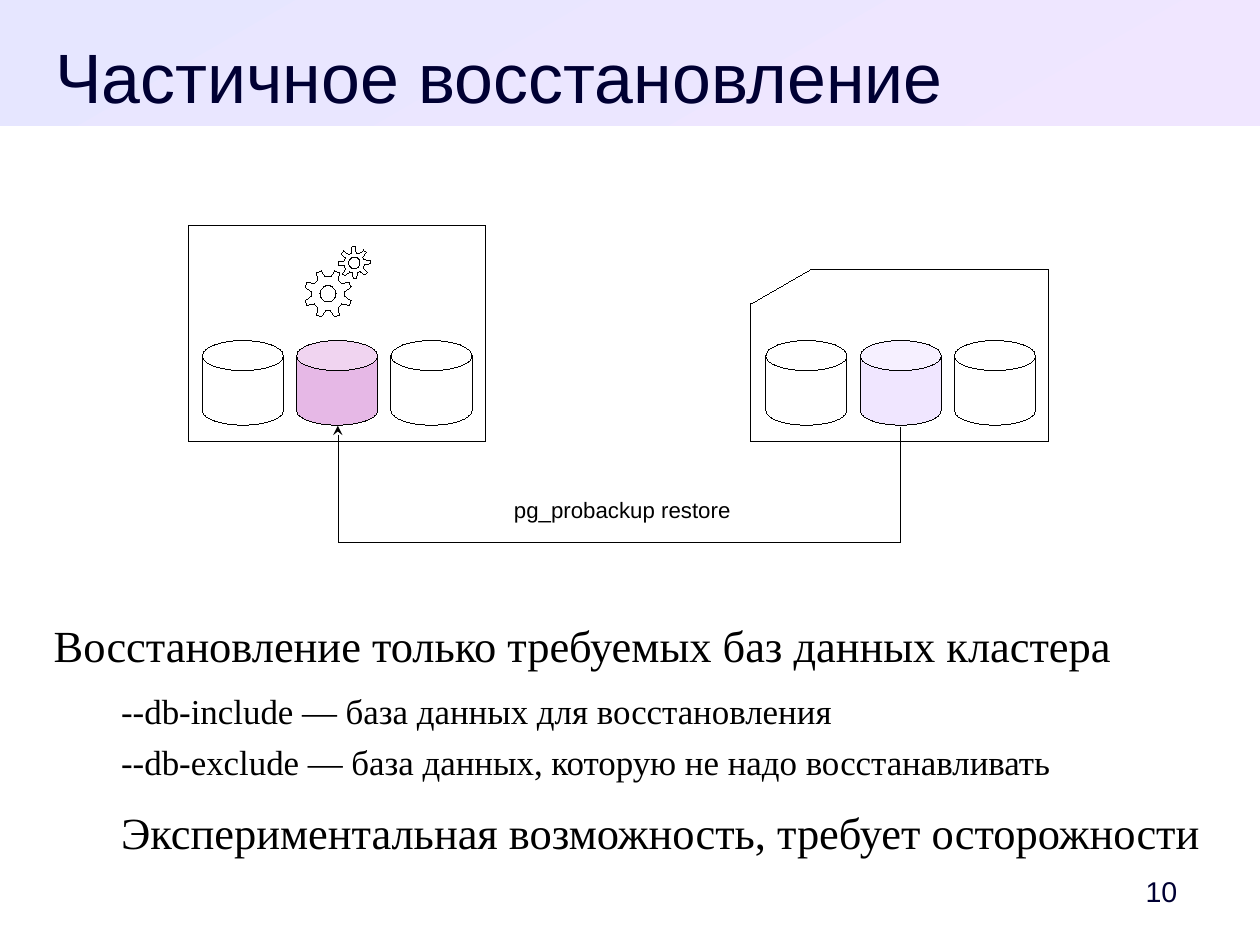
"""Build the slide on partial restore of a database cluster."""
import math
import pptx
import pptx.util
import pptx.oxml
import pptx.oxml.ns
import pptx.dml.color
import pptx.enum.shapes
import pptx.enum.text

Inches = pptx.util.Inches
Pt = pptx.util.Pt
Kind = pptx.enum.shapes.MSO_SHAPE
Align = pptx.enum.text.PP_ALIGN
Anchor = pptx.enum.text.MSO_ANCHOR
qn = pptx.oxml.ns.qn


def paint(color, hue):
    color.rgb = pptx.dml.color.RGBColor.from_string(hue)


def write(frame, text, size=14, font="Arial", hue="000000", align=Align.LEFT,
          after=0, indent=0, first=True):
    para = frame.paragraphs[0] if first else frame.add_paragraph()
    para.alignment = align
    para.space_after = Pt(after)
    if indent:
        para._p.get_or_add_pPr().set("marL", str(Inches(indent)))
    run = para.add_run()
    run.text = text
    run.font.size = Pt(size)
    run.font.name = font
    paint(run.font.color, hue)


deck = pptx.Presentation()
deck.slide_width = Inches(28 / 2.54)
deck.slide_height = Inches(21 / 2.54)
slide = deck.slides.add_slide(deck.slide_layouts[6])
shapes = slide.shapes
hair = Pt(0.01)

band = shapes.add_shape(Kind.RECTANGLE, 0, 0, deck.slide_width, Inches(1.1))
band.shadow.inherit = False
band.line.fill.background()
band.fill.gradient()
band.fill.gradient_angle = 300
for stop, hue in zip(band.fill.gradient_stops, ("E6E6FF", "F0E6FF")):
    paint(stop.color, hue)

frames = []
for left, top, width, height, inset, right, anchor in (
        (0.47, 0.29, 7.8, 0.68, 0, 0, Anchor.TOP),
        (9.69, 7.56, 0.87, 0.47, 0.05, 0.26, Anchor.MIDDLE),
        (3.11, 4.29, 4.67, 0.32, 0.05, 0, Anchor.TOP),
        (0.47, 5.41, 10.08, 2.04, 0, 0, Anchor.TOP)):
    box = shapes.add_textbox(Inches(left), Inches(top), Inches(width), Inches(height))
    frame = box.text_frame
    frame.word_wrap = True
    frame.vertical_anchor = anchor
    frame.margin_left = 0
    frame.margin_right = Inches(right)
    frame.margin_top = frame.margin_bottom = Inches(inset)
    frames.append(frame)

title, number, label, body = frames
write(title, "Частичное восстановление", size=44, hue="000033", align=Align.CENTER)
write(number, "10", size=18, hue="000033", align=Align.RIGHT)
write(label, "pg_probackup restore", align=Align.CENTER)
for row, (text, size, after, indent) in enumerate((
        ("Восстановление только требуемых баз данных кластера", 28, 11.3, 0),
        ("--db-include — база данных для восстановления", 22, 5.7, 0.59),
        ("--db-exclude — база данных, которую не надо восстанавливать", 22, 14.2, 0.59),
        ("Экспериментальная возможность, требует осторожности", 28, 0, 0.59))):
    write(body, text, size=size, font="Times New Roman", after=after,
          indent=indent, first=row == 0)

parts = []
for kind, left, top, height in ((Kind.RECTANGLE, 1.65, 1.97, 1.89),
                                (Kind.FLOWCHART_CARD, 6.57, 2.36, 1.5)):
    parts.append((shapes.add_shape(kind, Inches(left), Inches(top),
                                   Inches(2.6), Inches(height)), "FFFFFF"))

for left, core in ((1.77, "E6B8E6"), (6.7, "F0E6FF")):
    for col, hue in enumerate(("FFFFFF", core, "FFFFFF")):
        can = shapes.add_shape(Kind.CAN, Inches(left + 0.825 * col), Inches(2.98),
                               Inches(0.71), Inches(0.74))
        can.adjustments[0] = 0.37
        parts.append((can, hue))

for mid_x, mid_y, tip, root, hole, turn in ((2.87, 2.57, 0.21, 0.15, 0.07, 22.5),
                                            (3.1, 2.3, 0.14, 0.09, 0.05, -3)):
    teeth = [(turn + 45 * tooth + shift, reach) for tooth in range(8)
             for shift, reach in ((-14, root), (-6, tip), (6, tip), (14, root))]
    rings = []
    for ring in (teeth, [(angle, hole) for angle in range(0, 360, 15)]):
        rings.append([(Inches(mid_x + reach * math.cos(math.radians(angle))),
                       Inches(mid_y + reach * math.sin(math.radians(angle))))
                      for angle, reach in ring])
    outer, inner = rings
    path = shapes.build_freeform(*outer[0])
    path.add_line_segments(outer[1:], close=True)
    path.move_to(*inner[0])
    path.add_line_segments(inner[1:], close=True)
    parts.append((path.convert_to_shape(), "FFFFFF"))

for part, hue in parts:
    part.shadow.inherit = False
    part.fill.solid()
    paint(part.fill.fore_color, hue)
    paint(part.line.color, "000000")
    part.line.width = hair

link = shapes.add_connector(pptx.enum.shapes.MSO_CONNECTOR.ELBOW, Inches(5.42),
                            Inches(1.27), Inches(5.41), Inches(6.19))
paint(link.line.color, "000000")
link.line.width = hair
props = link._element.spPr
props.find(qn("a:xfrm")).set("rot", str(270 * 60000))
guides = props.find(qn("a:prstGeom")).get_or_add_avLst()
guide = guides.makeelement(qn("a:gd"), {"name": "adj1", "fmla": "val 10300000"})
guides.append(guide)
line = link.line._get_or_add_ln()
line.append(line.makeelement(qn("a:headEnd"), {"type": "stealth"}))
props.append(props.makeelement(qn("a:effectLst"), {}))

deck.save("out.pptx")
